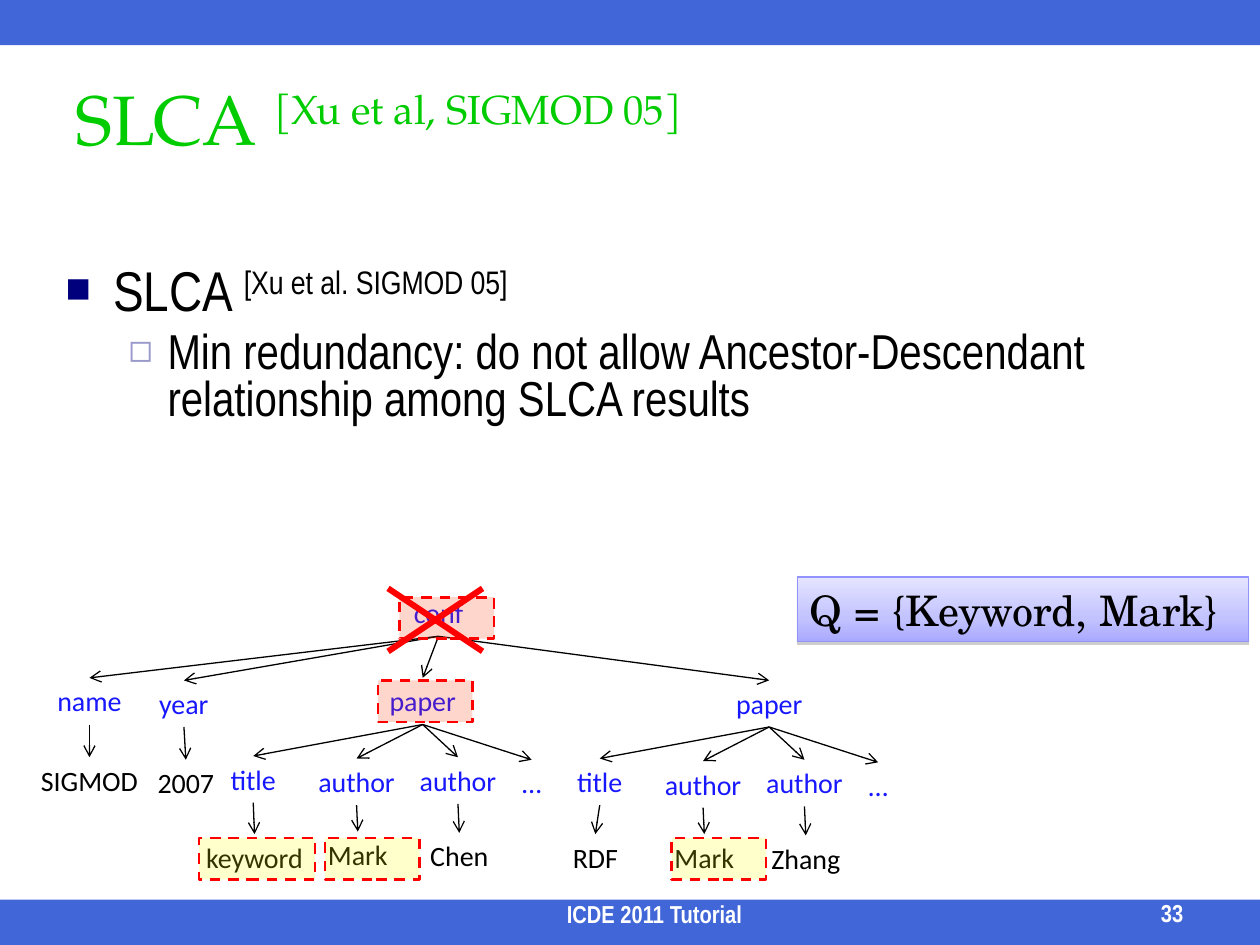
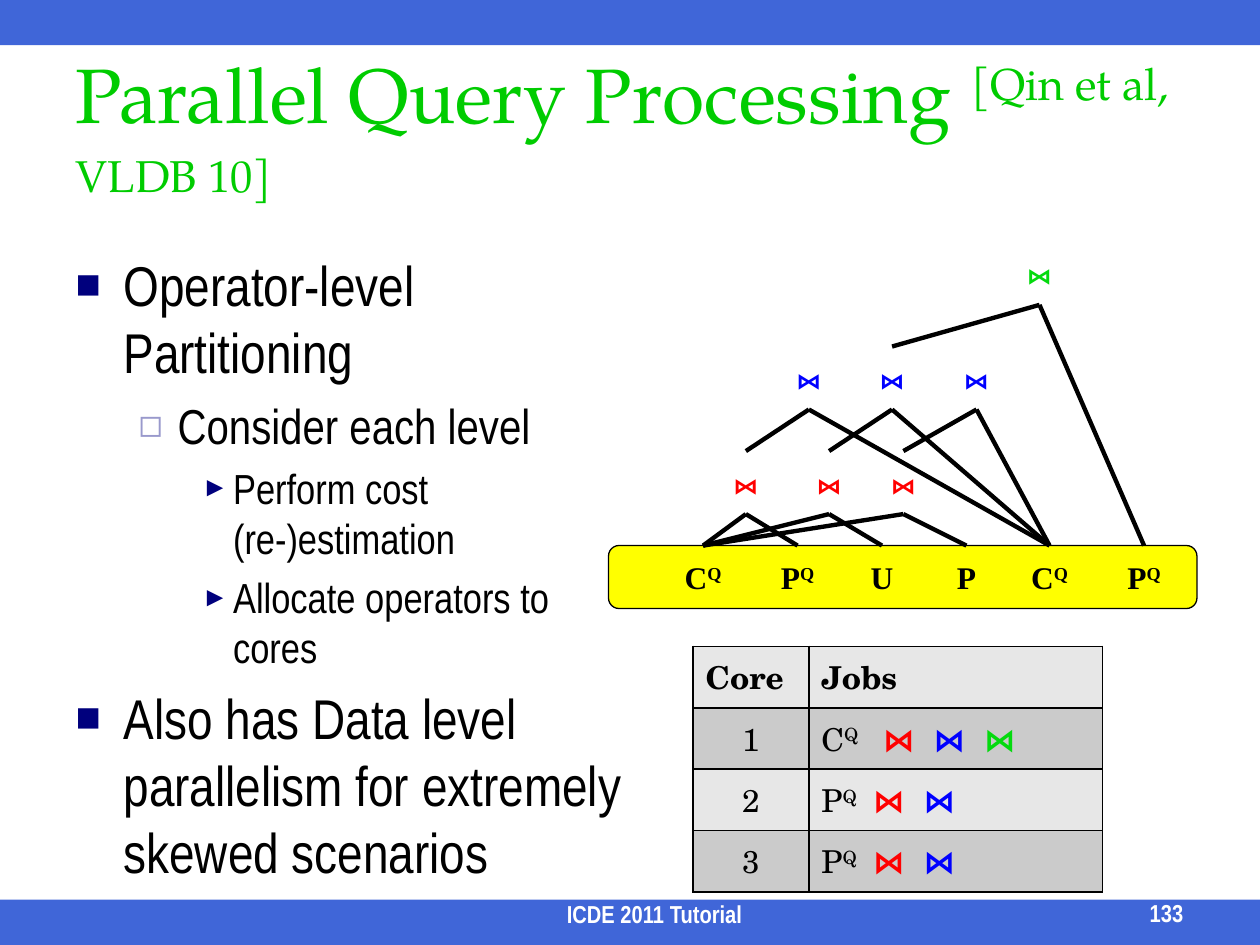
"""Builds two tutorial slides: an SLCA tree and parallel query processing."""
from copy import deepcopy
from dataclasses import dataclass
from typing import NamedTuple

from lxml.etree import SubElement
from pptx import Presentation
from pptx.dml.color import RGBColor as RGB
from pptx.enum.dml import MSO_LINE as Dash
from pptx.enum.shapes import MSO_CONNECTOR as Link, MSO_SHAPE as Kind
from pptx.enum.text import MSO_ANCHOR as Anchor, MSO_AUTO_SIZE as Fit, PP_ALIGN as Align
from pptx.oxml.ns import qn
from pptx.util import Inches, Pt

BLACK = RGB(0, 0, 0)
WHITE = RGB(255, 255, 255)
BAND = RGB(0x00, 0x33, 0xCC)
TITLE = RGB(0x00, 0xCC, 0x00)
NAVY = RGB(0x00, 0x00, 0x7D)
LILAC = RGB(0x99, 0x99, 0xCC)
LABEL = RGB(0x18, 0x18, 0xFF)
RED = RGB(255, 0, 0)
BLUE = RGB(0, 0, 255)
GREEN = RGB(0x04, 0xDA, 0x0E)
YELLOW = RGB(255, 255, 0)
CORAL = RGB(0xFF, 0x33, 0x00)
EDGE = RGB(0x93, 0x93, 0xFC)
PALE = RGB(0xE7, 0xE7, 0xE7)
GREY = RGB(0xCB, 0xCB, 0xCB)
STOPS = ((0, RGB(0xE4, 0xE4, 0xFF)), (0.65, RGB(0xC2, 0xC2, 0xFF)), (1, RGB(0xA9, 0xA9, 0xFF)))

NARROW, SERIF, SCHOLA = "Arial Narrow", "TeX Gyre Pagella", "TeX Gyre Schola"
SANS, TIMES = "Calibri", "Times New Roman"
JOIN = "⋈"


class Face(NamedTuple):
    name: str
    size: float
    color: RGB = BLACK
    bold: bool = False


class Level(NamedTuple):
    mark: str
    size: int
    color: RGB
    scale: int
    left: float
    hang: float


class Item(NamedTuple):
    level: int
    text: str


class Tier(NamedTuple):
    color: RGB
    top: float
    lefts: tuple
    kids: tuple


class Job(NamedTuple):
    core: str
    text: str
    joins: tuple
    start: float


@dataclass
class Node:
    text: str
    left: float
    top: float
    width: float
    kids: tuple = ()

    @property
    def ink(self) -> RGB:
        return LABEL if self.kids or self.text == "…" else BLACK


LEVELS = (
    Level("■", 32, NAVY, 75, 0.38, 0.38),
    Level("◻", 28, LILAC, 80, 0.81, 0.31),
    Level("►", 24, NAVY, 65, 1.25, 0.25),
)
LEAVES = (("C^Q", 5.33), ("P^Q", 6.08), ("U", 6.75), ("P", 7.42), ("C^Q", 8.08), ("P^Q", 8.83))
TIERS = (
    Tier(RED, 3.58, (5.67, 6.33, 6.92), ((0, 1), (0, 2), (0, 3))),
    Tier(BLUE, 2.75, (6.17, 6.83, 7.5), ((6, 4), (7, 4), (8, 4))),
    Tier(GREEN, 1.92, (8,), ((10, 5),)),
)
JOBS = (
    Job("1", "C^Q", (RED, BLUE, GREEN), 0.49),
    Job("2", "P^Q", (RED, BLUE), 0.41),
    Job("3", "P^Q", (RED, BLUE), 0.41),
)
MARKED = (
    (1.58, 6.65, 0.92, YELLOW),
    (2.58, 6.65, 0.75, YELLOW),
    (5.33, 6.65, 0.75, YELLOW),
    (3, 5.4, 0.75, CORAL),
    (3.17, 4.74, 0.75, CORAL),
)


def paper(shift: float, drop: float, term: Node, name: str) -> Node:
    def node(text: str, left: float, top: float, width: float, *kids: Node) -> Node:
        return Node(text, left + shift, top + drop, width, kids)

    return node(
        "paper", 2.95, 5.38, 0.81,
        node("title", 1.66, 6, 0.7, term),
        node("author", 2.4, 6.02, 0.86, node("Mark", 2.43, 6.6, 0.82)),
        node("author", 3.18, 6.01, 0.91, node(name, 3.25, 6.61, 0.79)),
        node("…", 3.87, 6.03, 0.7),
    )


TREE = Node("conf", 3.17, 4.68, 0.62, (
    Node("name", 0.33, 5.38, 0.76, (Node("SIGMOD", 0.18, 6.01, 1.06),)),
    Node("year", 1.13, 5.4, 0.66, (Node("2007", 1.01, 6.03, 0.93),)),
    paper(0, 0, Node("keyword", 1.5, 6.62, 1.04), "Chen"),
    paper(2.75, 0.02, Node("RDF", 4.33, 6.62, 0.79), "Zhang"),
))


def inches(*sizes: float) -> list:
    return [Inches(size) for size in sizes]


def write(para, text: str, face: Face, align=Align.LEFT) -> None:
    para.alignment = align
    font = para.font
    font.name, font.size, font.bold = face.name, Pt(face.size), face.bold
    font.color.rgb = face.color
    base, _, raised = text.partition("^")
    para.add_run().text = base
    if raised:
        run = para.add_run()
        run.text = raised
        run._r.get_or_add_rPr().set("baseline", "30000")


def label(slide, at: tuple, text: str, face: Face, align=Align.CENTER, anchor=Anchor.TOP):
    box = slide.shapes.add_textbox(*inches(*at))
    frame = box.text_frame
    frame.word_wrap, frame.vertical_anchor = True, anchor
    write(frame.paragraphs[0], text, face, align)
    return box


def shape(slide, kind, at: tuple, fill=None, line=None, width: float = 0.75, alpha: int = 100):
    form = slide.shapes.add_shape(kind, *inches(*at))
    form.shadow.inherit = False
    if fill is None:
        form.fill.background()
    else:
        form.fill.solid()
        form.fill.fore_color.rgb = fill
        if alpha < 100:
            tone = form._element.spPr.find(qn("a:solidFill"))[0]
            SubElement(tone, qn("a:alpha"), val=str(alpha * 1000))
    if line is None:
        form.line.fill.background()
    else:
        form.line.color.rgb = line
        form.line.width = Pt(width)
    return form


def connect(slide, ends: tuple, color: RGB, width: float):
    wire = slide.shapes.add_connector(Link.STRAIGHT, *inches(*ends))
    wire.line.color.rgb = color
    wire.line.width = Pt(width)
    SubElement(wire._element.spPr, qn("a:effectLst"))
    return wire


def join(slide, upper, lower, width: float, arrow: bool = False) -> None:
    wire = connect(slide, (0, 0, 1, 1), BLACK, width)
    wire.begin_connect(upper, 2)
    wire.end_connect(lower, 0)
    if arrow:
        SubElement(wire.line._get_or_add_ln(), qn("a:tailEnd"), type="arrow")


def place(holder, at: tuple):
    holder.left, holder.top, holder.width, holder.height = inches(*at)
    holder.text_frame.auto_size = Fit.NONE
    return holder.text_frame


def start(deck, title: str, size: int, top: float, number: str):
    slide = deck.slides.add_slide(deck.slide_layouts[1])
    for edge in (7.14, 0):
        shape(slide, Kind.RECTANGLE, (0, edge, 10, 0.36), BAND, alpha=75)
    frame = place(slide.shapes.title, (0.5, top, 9, 1.2))
    frame.vertical_anchor = Anchor.MIDDLE
    write(frame.paragraphs[0], title, Face(SERIF, size, TITLE))
    foot = Face(NARROW, 14, WHITE, True)
    label(slide, (2.32, 7.18, 5.75, 0.24), "ICDE 2011 Tutorial", foot, anchor=Anchor.BOTTOM)
    label(slide, (8.23, 7.17, 1.26, 0.24), number, foot, Align.RIGHT, Anchor.BOTTOM)
    return slide


def bullets(slide, at: tuple, items: tuple, spacing: float = 1.0) -> None:
    frame = place(slide.placeholders[1], at)
    for i, item in enumerate(items):
        para = frame.add_paragraph() if i else frame.paragraphs[0]
        look = LEVELS[item.level]
        para.level, para.line_spacing = item.level, spacing
        if not i:
            para.space_before = Pt(0)
        props = para._p.get_or_add_pPr()
        props.set("marL", str(Inches(look.left)))
        props.set("indent", str(-Inches(look.hang)))
        SubElement(SubElement(props, qn("a:buClr")), qn("a:srgbClr"), val=str(look.color))
        SubElement(props, qn("a:buSzPct"), val=str(look.scale * 1000))
        SubElement(props, qn("a:buChar"), char=look.mark)
        write(para, item.text, Face(NARROW, look.size))


def grow(slide, node: Node):
    box = label(slide, (node.left, node.top, node.width, 0.37), node.text, Face(SANS, 16, node.ink))
    for kid in node.kids:
        join(slide, box, grow(slide, kid), 0.75, arrow=True)
    return box


def query(slide) -> None:
    box = shape(slide, Kind.RECTANGLE, (6.33, 4.58, 3.58, 0.51), WHITE, EDGE)
    box.fill.gradient()
    box.fill.gradient_angle = 270
    props = box._element.spPr
    stops = props.find(qn("a:gradFill")).find(qn("a:gsLst"))
    stops.append(deepcopy(stops[0]))
    for stop, (spot, color) in zip(box.fill.gradient_stops, STOPS):
        stop.position, stop.color.rgb = spot, color
    cast = SubElement(props.find(qn("a:effectLst")), qn("a:outerShdw"),
                      blurRad="0", dist=str(Pt(1.6)), dir="5400000", rotWithShape="0")
    tone = SubElement(cast, qn("a:srgbClr"), val="808080")
    SubElement(tone, qn("a:alpha"), val="38000")
    write(box.text_frame.paragraphs[0], "Q = {Keyword, Mark}", Face(SCHOLA, 24))


def slca(deck) -> None:
    slide = start(deck, "SLCA ^[Xu et al, SIGMOD 05]", 40, 0.33, "33")
    bullets(slide, (0.42, 2.08, 9, 2.33), (
        Item(0, "SLCA ^[Xu et al. SIGMOD 05]"),
        Item(1, "Min redundancy: do not allow Ancestor-Descendant relationship among SLCA results"),
    ), 0.8)
    grow(slide, TREE)
    for left, top, width, fill in MARKED:
        box = shape(slide, Kind.RECTANGLE, (left, top, width, 0.33), fill, RED, 1.5, 20)
        box.line.dash_style = Dash.DASH
    query(slide)
    for low, high in ((5.17, 4.67), (4.67, 5.17)):
        connect(slide, (3.08, low, 3.83, high), RED, 3.5)


def symbol(slide, text: str, left: float, top: float, color: RGB = BLACK):
    box = shape(slide, Kind.ROUNDED_RECTANGLE, (left, top, 0.5, 0.5))
    box.text_frame.word_wrap = False
    write(box.text_frame.paragraphs[0], text, Face(TIMES, 18, color, True), Align.CENTER)
    return box


def fill_cell(cell, text: str, fill: RGB, bold: bool = False, align=Align.LEFT, job=None) -> None:
    props = cell._tc.get_or_add_tcPr()
    for side in "LRTB":
        line = SubElement(props, qn(f"a:ln{side}"), w=str(Pt(1)))
        SubElement(SubElement(line, qn("a:solidFill")), qn("a:srgbClr"), val=str(BLACK))
    cell.fill.solid()
    cell.fill.fore_color.rgb = fill
    cell.vertical_anchor = Anchor.MIDDLE
    para = cell.text_frame.paragraphs[0]
    joins = job.joins if job else ()
    if job:
        tabs = SubElement(para._p.get_or_add_pPr(), qn("a:tabLst"))
        for i in range(len(joins)):
            SubElement(tabs, qn("a:tab"), pos=str(Inches(job.start + 0.4 * i)), algn="l")
    write(para, text, Face(SCHOLA, 18, bold=bold), align)
    for color in joins:
        run = para.add_run()
        run.text = "\t" + JOIN
        run.font.bold, run.font.color.rgb = True, color


def jobs(slide) -> None:
    table = slide.shapes.add_table(4, 2, *inches(5.5, 5.13, 3.25, 1.95)).table
    table.first_row = table.horz_banding = False
    table.columns[0].width, table.columns[1].width = inches(0.92, 2.33)
    for col, head in enumerate(("Core", "Jobs")):
        fill_cell(table.cell(0, col), head, PALE, True)
    for row, job in enumerate(JOBS, 1):
        fill = GREY if row % 2 else PALE
        fill_cell(table.cell(row, 0), job.core, fill, align=Align.CENTER)
        fill_cell(table.cell(row, 1), job.text, fill, job=job)


def parallel(deck) -> None:
    slide = start(deck, "Parallel Query Processing ^[Qin et al, VLDB 10]", 44, 0.5, "133")
    bullets(slide, (0.5, 1.94, 4.58, 5.12), (
        Item(0, "Operator-level Partitioning"),
        Item(1, "Consider each level"),
        Item(2, "Perform cost (re-)estimation"),
        Item(2, "Allocate operators to cores"),
        Item(0, "Also has Data level parallelism for extremely skewed scenarios"),
    ))
    shape(slide, Kind.ROUNDED_RECTANGLE, (4.83, 4.33, 4.67, 0.5), YELLOW, BLACK)
    boxes = [symbol(slide, text, left, 4.33) for text, left in LEAVES]
    for tier in TIERS:
        for left, kids in zip(tier.lefts, tier.kids):
            boxes.append(symbol(slide, JOIN, left, tier.top, tier.color))
            for kid in kids:
                join(slide, boxes[-1], boxes[kid], 2.5)
    jobs(slide)


def main() -> None:
    deck = Presentation()
    deck.slide_width, deck.slide_height = inches(10, 7.5)
    slca(deck)
    parallel(deck)
    deck.save("out.pptx")


if __name__ == "__main__":
    main()
